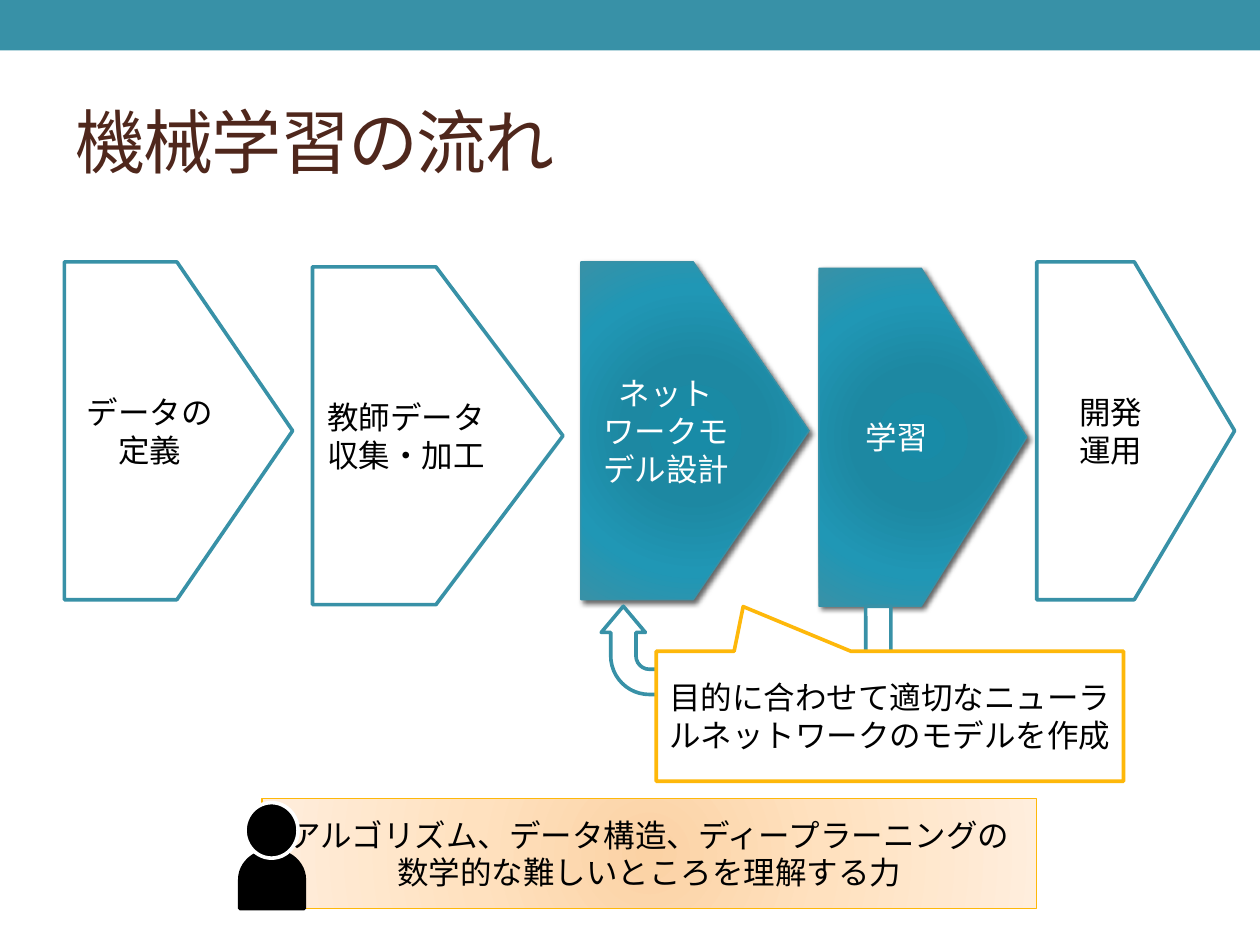
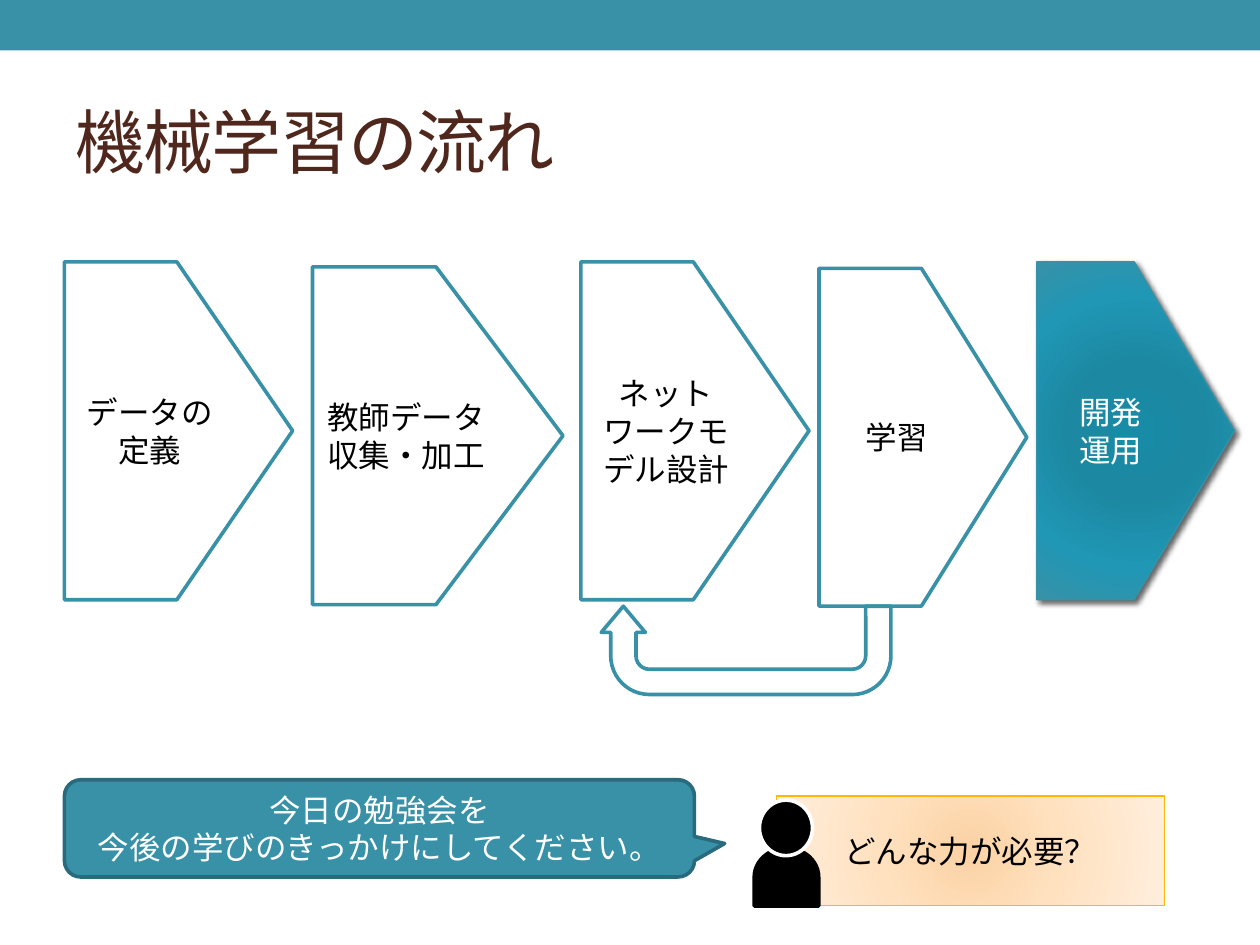
from lxml import etree
from pptx import Presentation
from pptx import util as u
from pptx.dml.color import RGBColor
from pptx.enum import shapes, text
from pptx.oxml import ns

TEAL = RGBColor(0x38, 0x91, 0xA7)
DARK_TEAL = RGBColor(0x29, 0x6B, 0x7C)
AMBER = RGBColor(0xFE, 0xB8, 0x0A)
BROWN = RGBColor(0x4F, 0x27, 0x1C)
WHITE = RGBColor(0xFF, 0xFF, 0xFF)
BLACK = RGBColor(0, 0, 0)
TEAL_GLOW = [(0, RGBColor(0x18, 0x8B, 0xA7)), (34, RGBColor(0x1D, 0x88, 0xA2)),
             (70, RGBColor(0x20, 0x97, 0xB5)), (100, TEAL)]
PEACH_GLOW = [(0, RGBColor(0xFB, 0xD2, 0xA4)), (45, RGBColor(0xFF, 0xE1, 0xBF)),
              (100, RGBColor(0xFF, 0xEE, 0xDD))]

KIND = shapes.MSO_SHAPE
BODY_FONT = {"name": "Arial", "size": u.Pt(18)}
TITLE_FONT = {"name": "Arial", "size": u.Pt(40)}
THICK, THIN = 2.08, 0.75

STEP_HEIGHT = 6.81
STEPS = [
    ("データの定義", 1.3, 5.28, 4.6),
    ("教師データ\n収集・加工", 6.3, 5.38, 5.05),
    ("ネットワークモデル設計", 11.71, 5.28, 4.6),
    ("学習", 16.51, 5.41, 4.19),
    ("開発\n運用", 20.9, 5.28, 3.99),
]
PAGES = [
    {
        "active": ("ネットワークモデル設計", "学習"),
        "callout": (KIND.RECTANGULAR_CALLOUT, (13.23, 13.13, 9.42, 2.62), WHITE, AMBER, THICK,
                    "目的に合わせて適切なニューラルネットワークのモデルを作成", BLACK, (-0.314, -0.844)),
        "skill": (5.28, 16.1, 15.62, 2.21),
        "skill_words": "アルゴリズム、データ構造、ディープラーニングの\n数学的な難しいところを理解する力",
    },
    {
        "active": ("開発\n運用",),
        "callout": (KIND.ROUNDED_RECTANGULAR_CALLOUT, (1.3, 15.72, 12.7, 1.96), TEAL, DARK_TEAL, THICK,
                    "今日の勉強会を\n今後の学びのきっかけにしてください。", WHITE, (0.548, 0.156, 0.167)),
        "skill": (15.65, 16.05, 7.82, 2.21),
        "skill_words": "どんな力が必要？",
    },
]


def add_xml(parent, tag, **values):
    return etree.SubElement(parent, ns.qn(tag), {key: str(value) for key, value in values.items()})


def add_box(target, kind, area, fill, line, width, words="", color=BLACK, adjustments=()):
    box = target.add_shape(kind, *map(u.Cm, area))
    box.shadow.inherit = False
    for index, value in enumerate(adjustments):
        box.adjustments[index] = value
    if isinstance(fill, list):
        properties = box.element.spPr
        gradient = add_xml(properties, "a:gradFill", rotWithShape=1)
        stops = add_xml(gradient, "a:gsLst")
        for position, shade in fill:
            stop = add_xml(stops, "a:gs", pos=position * 1000)
            add_xml(stop, "a:srgbClr", val=shade)
        circle = add_xml(gradient, "a:path", path="circle")
        add_xml(circle, "a:fillToRect", **dict.fromkeys("ltrb", 100000))
        properties.find(ns.qn("a:prstGeom")).addnext(gradient)
    else:
        box.fill.solid()
        box.fill.fore_color.rgb = fill
    if line is None:
        box.line.fill.background()
    else:
        box.line.color.rgb = line
        box.line.width = u.Pt(width)
    if words:
        frame = box.text_frame
        frame.word_wrap = True
        frame.vertical_anchor = text.MSO_ANCHOR.MIDDLE
        frame.text = words
        for para in frame.paragraphs:
            para.alignment = text.PP_ALIGN.CENTER
            for span in para.runs:
                for name, value in BODY_FONT.items():
                    setattr(span.font, name, value)
                span.font.color.rgb = color
    return box


deck = Presentation()
deck.slide_width, deck.slide_height = u.Cm(25.4), u.Cm(19.05)
layout = deck.slide_layouts[5]

for number, content in enumerate(PAGES):
    page = deck.slides.add_slide(layout)
    if number == 0:
        band = add_box(page.shapes, KIND.RECTANGLE, (0, 0, 25.4, 1.02), TEAL, None, 0)
        layout.shapes.element.insert(2, band.element)

    title = page.shapes.title
    title_area = {"left": 1.27, "top": 1.47, "width": 22.86, "height": 2.74}
    for name, value in title_area.items():
        setattr(title, name, u.Cm(value))
    title.text_frame.text = "機械学習の流れ"
    title.text_frame.vertical_anchor = text.MSO_ANCHOR.MIDDLE
    para = title.text_frame.paragraphs[0]
    para.alignment = text.PP_ALIGN.LEFT
    span = para.runs[0]
    for name, value in TITLE_FONT.items():
        setattr(span.font, name, value)
    span.font.color.rgb = BROWN
    span.font._element.set("spc", "-100")

    for words, left, top, width in STEPS:
        active = words in content["active"]
        fill, line_width, color = (TEAL_GLOW, THIN, WHITE) if active else (WHITE, THICK, BLACK)
        step = add_box(page.shapes, KIND.PENTAGON, (left, top, width, STEP_HEIGHT),
                       fill, TEAL, line_width, words, color, (0.507,))
        if active:
            effects = step.element.spPr.find(ns.qn("a:effectLst"))
            shadow = add_xml(effects, "a:outerShdw", blurRad=u.Pt(3), dist=u.Pt(2),
                             dir=45 * 60000, algn="tl", rotWithShape=0)
            shade = add_xml(shadow, "a:srgbClr", val=BLACK)
            add_xml(shade, "a:alpha", val=60000)

    loop_arrow = add_box(page.shapes, KIND.U_TURN_ARROW, (12.12, 12.22, 5.84, 1.78), WHITE, TEAL, THICK,
                         adjustments=(0.286, 0.25, 0.297, 0.438, 1))
    loop_arrow.rotation = 180

    add_box(page.shapes, *content["callout"])
    add_box(page.shapes, KIND.RECTANGLE, content["skill"], PEACH_GLOW, AMBER, THIN, content["skill_words"])

    left, top = content["skill"][:2]
    person = page.shapes.add_group_shape()
    torso = add_box(person.shapes, KIND.FLOWCHART_DELAY, (left - 0.38, top + 0.98, 1.17, 1.3),
                    BLACK, BLACK, THICK)
    torso.rotation = 270
    add_box(person.shapes, KIND.OVAL, (left - 0.34, top + 0.08, 1.07, 1.12), BLACK, WHITE, THICK)

deck.save("out.pptx")
